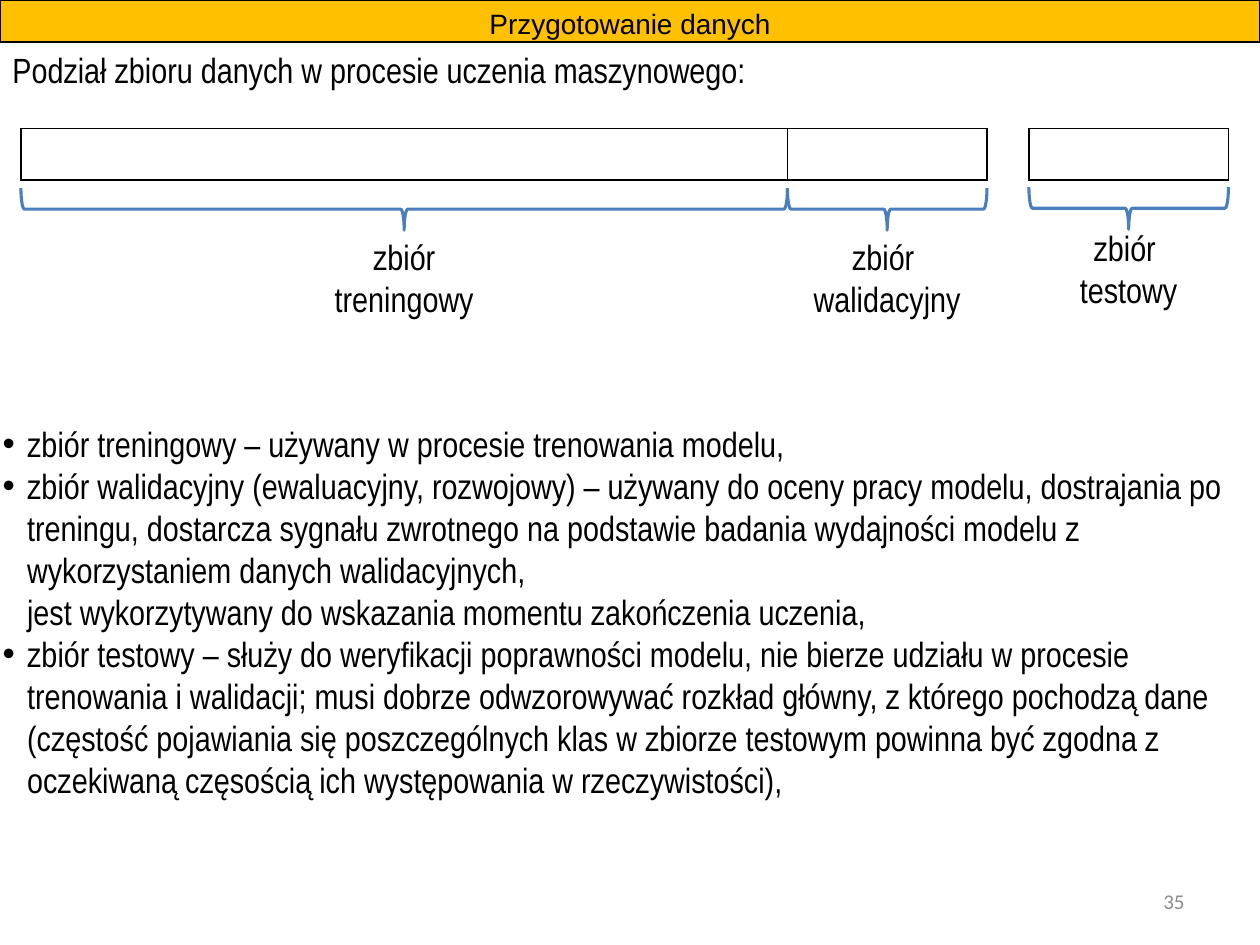
import pptx
import pptx.dml.color
import pptx.enum.shapes
import pptx.enum.text
import pptx.oxml
import pptx.oxml.ns
import pptx.util

Pt = pptx.util.Pt
ALIGN = pptx.enum.text.PP_ALIGN
ANCHOR = pptx.enum.text.MSO_ANCHOR
BLACK = pptx.dml.color.RGBColor(0x00, 0x00, 0x00)
AMBER = pptx.dml.color.RGBColor(0xFF, 0xC0, 0x00)
BLUE = pptx.dml.color.RGBColor(0x4B, 0x7E, 0xBC)
GREY = pptx.dml.color.RGBColor(0x8C, 0x8C, 0x8C)
NAMESPACE = pptx.oxml.ns.nsdecls("a")


def write(paragraph, text, size=20, font="Arial Narrow", color=BLACK, align=ALIGN.LEFT):
    paragraph.alignment = align
    for index, line in enumerate(text.split("\n")):
        if index:
            paragraph.add_line_break()
        run = paragraph.add_run()
        run.text = line
        run.font.size = Pt(size)
        run.font.name = font
        run.font.color.rgb = color


def add_text(left, top, width, height, text, **style):
    box = slide.shapes.add_textbox(Pt(left), Pt(top), Pt(width), Pt(height))
    box.text_frame.word_wrap = True
    write(box.text_frame.paragraphs[0], text, **style)
    return box


presentation = pptx.Presentation()
presentation.slide_width = Pt(720)
presentation.slide_height = Pt(540)
slide = presentation.slides.add_slide(presentation.slide_layouts[1])

title = slide.shapes.title
title.left, title.top, title.width, title.height = Pt(0), Pt(0), Pt(720), Pt(24)
title.fill.solid()
title.fill.fore_color.rgb = AMBER
title.line.color.rgb = BLACK
title.line.width = Pt(0.75)
title.text_frame.auto_size = pptx.enum.text.MSO_AUTO_SIZE.NONE
title.text_frame.vertical_anchor = ANCHOR.TOP
write(title.text_frame.paragraphs[0], "Przygotowanie danych", 16, "Arial", align=ALIGN.CENTER)

add_text(0, 24, 702, 31.5, "Podział zbioru danych w procesie uczenia maszynowego:")

table_left = 12
column_widths = [438, 114, 24, 114]
gap_column = 2
table = slide.shapes.add_table(
    1, len(column_widths), Pt(table_left), Pt(73.5), Pt(sum(column_widths)), Pt(29.5)
).table
table.first_row = False
table.horz_banding = False
for column, width in enumerate(column_widths):
    table.columns[column].width = Pt(width)
    cell = table.cell(0, column)
    cell.fill.background()
    properties = cell._tc.get_or_add_tcPr()
    for position, side in enumerate("LRTB"):
        if column == gap_column and side in "TB":
            paint = "<a:noFill/>"
        else:
            paint = f'<a:solidFill><a:srgbClr val="{BLACK}"/></a:solidFill>'
        border = f'<a:ln{side} {NAMESPACE} w="{Pt(1)}">{paint}</a:ln{side}>'
        properties.insert(position, pptx.oxml.parse_xml(border))

brace_depth = 24
label_width = 144
data_sets = [
    (0, 107.5, 131, ["zbiór", "treningowy"]),
    (1, 107.5, 131, ["zbiór \nwalidacyjny"]),
    (3, 107, 126, ["zbiór \ntestowy"]),
]
for column, brace_top, label_top, lines in data_sets:
    width = column_widths[column]
    center = table_left + sum(column_widths[:column]) + width / 2
    brace = slide.shapes.add_shape(
        pptx.enum.shapes.MSO_SHAPE.LEFT_BRACE,
        Pt(center - brace_depth / 2), Pt(brace_top + brace_depth / 2 - width / 2),
        Pt(brace_depth), Pt(width),
    )
    brace.rotation = 270
    brace.shadow.inherit = False
    brace.fill.background()
    brace.line.color.rgb = BLUE
    brace.line.width = Pt(1.75)
    label = add_text(
        center - label_width / 2, label_top, label_width, 55.5, lines[0], align=ALIGN.CENTER
    )
    for line in lines[1:]:
        write(label.text_frame.add_paragraph(), line, align=ALIGN.CENTER)

definitions = [
    "zbiór treningowy – używany w procesie trenowania modelu,",
    "zbiór walidacyjny (ewaluacyjny, rozwojowy) – używany do oceny pracy modelu, "
    "dostrajania po treningu, dostarcza sygnału zwrotnego na podstawie badania "
    "wydajności modelu z wykorzystaniem danych walidacyjnych, \n"
    "jest wykorzytywany do wskazania momentu zakończenia uczenia,",
    "zbiór testowy – służy do weryfikacji poprawności modelu, nie bierze udziału "
    "w procesie trenowania i walidacji; musi dobrze odwzorowywać rozkład główny, "
    "z którego pochodzą dane (częstość pojawiania się poszczególnych klas w zbiorze "
    "testowym powinna być zgodna z oczekiwaną częsością ich występowania w rzeczywistości),",
]
body = slide.placeholders[1]
body.left, body.top, body.width, body.height = Pt(0), Pt(240), Pt(720), Pt(150)
frame = body.text_frame
frame.auto_size = pptx.enum.text.MSO_AUTO_SIZE.NONE
frame.vertical_anchor = ANCHOR.TOP
frame.margin_left = frame.margin_right = frame.margin_top = frame.margin_bottom = Pt(1.5)
for index, definition in enumerate(definitions):
    paragraph = frame.add_paragraph() if index else frame.paragraphs[0]
    properties = paragraph._p.get_or_add_pPr()
    properties.set("marL", str(Pt(14)))
    properties.set("indent", str(Pt(-14)))
    properties.append(pptx.oxml.parse_xml(f'<a:buFont {NAMESPACE} typeface="Arial"/>'))
    properties.append(pptx.oxml.parse_xml(f'<a:buChar {NAMESPACE} char="•"/>'))
    paragraph.space_before = Pt(0)
    write(paragraph, definition)

number = add_text(516, 500.5, 168, 29, "35", size=12, font="Calibri", color=GREY, align=ALIGN.RIGHT)
number.text_frame.vertical_anchor = ANCHOR.MIDDLE

presentation.save("out.pptx")
